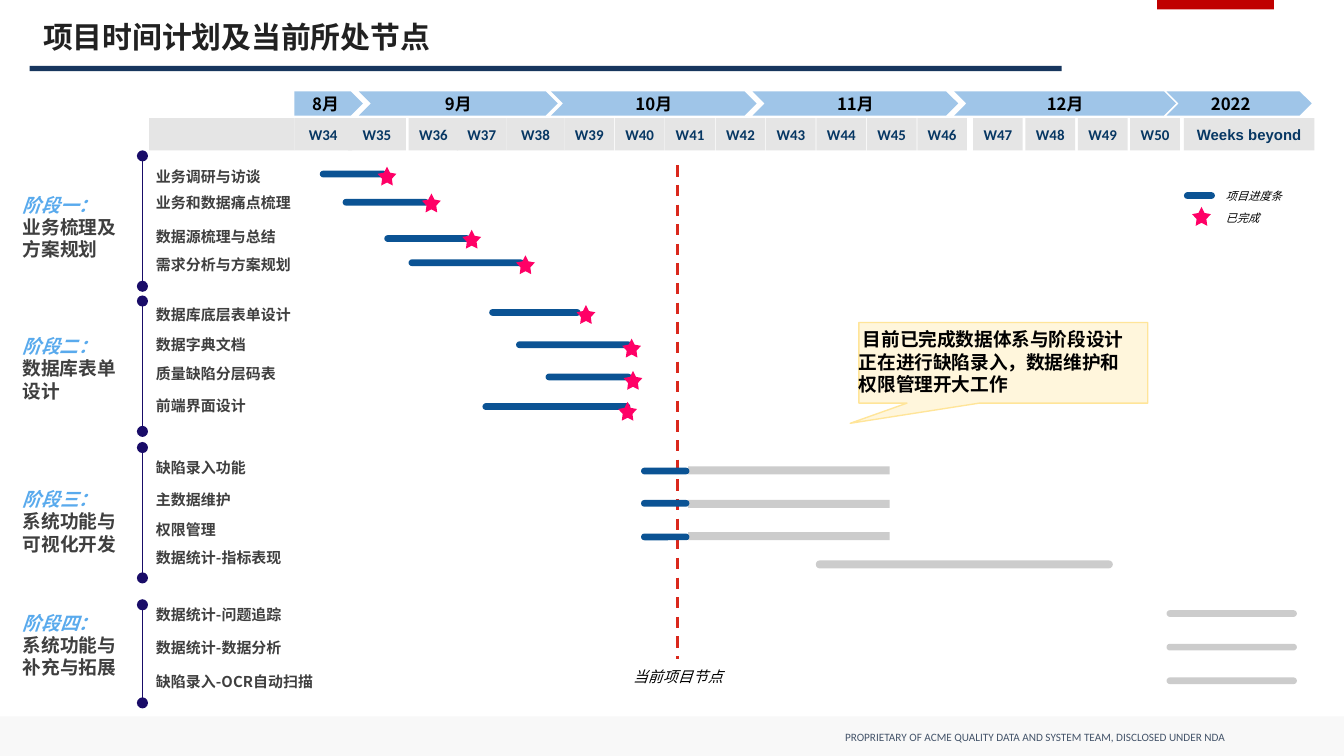
from lxml.etree import SubElement
from pptx import Presentation
from pptx.dml.color import RGBColor
from pptx.enum.dml import MSO_LINE
from pptx.enum.shapes import MSO_CONNECTOR, MSO_SHAPE as SHAPE
from pptx.enum.text import MSO_ANCHOR as ANCHOR, PP_ALIGN as ALIGN
from pptx.oxml.ns import qn
from pptx.util import Inches, Pt

C = {
    "red": "C00000", "band": "F2F2F2", "footer": "44546A", "rule": "17365E",
    "month": "9FC5E8", "week": "E5E5E5", "week_text": "073763", "black": "000000",
    "title": "212121", "stage": "59AAED", "text": "3F3F3F", "axis": "190C68",
    "done": "0B5394", "todo": "CCCCCC", "star": "FF0066", "now": "DA281C",
    "note": "FFF2CC", "note_line": "FFE599",
}
CJK = "Noto Sans CJK SC"

prs = Presentation()
prs.slide_width = Inches(10)
prs.slide_height = Inches(10) * 9 // 16
s = prs.slides.add_slide(prs.slide_layouts[5])


def add(kind, x, y, w, h, fill=None, alpha=None, adj=()):
    box = [Inches(v) for v in (x, y, w, h)]
    if kind is None:
        return s.shapes.add_textbox(*box)
    sp = s.shapes.add_shape(kind, *box)
    sp.shadow.inherit = False
    sp.fill.solid()
    sp.fill.fore_color.rgb = RGBColor.from_string(C[fill])
    sp.line.fill.background()
    if alpha:
        clr = sp._element.spPr.find(".//" + qn("a:srgbClr"))
        SubElement(clr, qn("a:alpha")).set("val", str(alpha * 1000))
    for i, v in enumerate(adj):
        sp.adjustments[i] = v
    return sp


def write(sp, text, size, color, font=CJK, bold=True, italic=False,
          align=ALIGN.LEFT, anchor=ANCHOR.MIDDLE, ins=(0.07, 0.04, 0, 0.04)):
    tf = sp.text_frame
    tf.text = text
    tf.word_wrap = True
    tf.vertical_anchor = anchor
    tf.margin_left, tf.margin_top, tf.margin_right, tf.margin_bottom = map(Inches, ins)
    for p in tf.paragraphs:
        p.alignment = align
        for r in p.runs:
            r.font.size, r.font.bold, r.font.italic = Pt(size), bold, italic
            r.font.name = font
            r.font.color.rgb = RGBColor.from_string(C[color])
            SubElement(r._r.get_or_add_rPr(), qn("a:ea")).set("typeface", CJK)
    return tf


add(SHAPE.RECTANGLE, 8.61, 0, 0.87, 0.07, "red")
add(SHAPE.RECTANGLE, 0, 5.33, 10, 0.3, "band", alpha=49)
add(SHAPE.RECTANGLE, 0.22, 0.49, 7.68, 0.04, "rule")
write(add(None, 5.4, 5.39, 4.6, 0.18),
      "PROPRIETARY OF ACME QUALITY DATA AND SYSTEM TEAM, DISCLOSED UNDER NDA",
      6, "footer", "Calibri", bold=False, align=ALIGN.CENTER, ins=(0.07, 0.04, 0.07, 0.04))

title = s.shapes.title
title.left, title.top, title.width, title.height = map(Inches, (0.22, 0.07, 7.27, 0.37))
tf = write(title, "项目时间计划及当前所处节点", 16, "title",
           align=ALIGN.JUSTIFY, ins=(0.1, 0.05, 0.1, 0.05))
tf.paragraphs[0].line_spacing = 1.15

months = [("8月", 2.19, 0.51), ("9月", 2.67, 1.48), ("10月", 4.1, 1.53),
          ("11月", 5.6, 1.53), ("12月", 7.1, 1.65), ("2022", 8.68, 1.08)]
for i, (name, x, w) in enumerate(months):
    sp = add(SHAPE.CHEVRON if i else SHAPE.PENTAGON, x, 0.68, w, 0.18, "month", adj=[0.5])
    last = name == "2022"
    write(sp, name, 9, "black", align=ALIGN.LEFT if last else ALIGN.CENTER,
          ins=(0.24 if last else 0.1, 0.1, 0.1, 0.1))

weeks = [("W34", 2.19, 0.43), ("W35", 2.59, 0.43), ("W36", 3.04, 0.37),
         ("W37", 3.4, 0.37), ("W38", 3.77, 0.43)]
weeks += [(f"W{39 + i}", 4.2 + i * 3 / 8, 0.37) for i in range(8)]
weeks += [(f"W{47 + i}", 7.24 + i * 0.39, 0.37) for i in range(4)]
weeks += [("Weeks beyond", 8.81, 0.97)]
add(SHAPE.RECTANGLE, 1.11, 0.88, 1.08, 0.24, "week")
for name, x, w in weeks:
    write(add(SHAPE.RECTANGLE, x, 0.88, w, 0.24, "week"), name, 8, "week_text",
          "Arial" if name == "Weeks beyond" else "Calibri",
          align=ALIGN.CENTER, ins=(0.07, 0.04, 0.07, 0.04))

stages = [("阶段一：\n业务梳理及\n方案规划", 1.14, 1.29, 1.1, 1.16, 2.13),
          ("阶段二：\n数据库表单\n设计", 2.19, 1.44, 1.1, 2.24, 3.21),
          ("阶段三：\n系统功能与\n可视化开发", 3.48, 1.29, 0.8, 3.33, 4.3),
          ("阶段四：\n系统功能与\n补充与拓展", 4.4, 1.29, 0.8, 4.5, 5.23)]
lines = [(5.04, 1.23, 4.9, "now", 1.5)]
for text, y, w, h, y1, y2 in stages:
    tf = write(add(None, 0.1, y, w, h), text, 10, "text")
    r = tf.paragraphs[0].runs[0]
    r.font.italic = True
    r.font.color.rgb = RGBColor.from_string(C["stage"])
    lines.append((1.06, y1, y2, "axis", 0.75))

for x, y1, y2, color, width in lines:
    cx = s.shapes.add_connector(MSO_CONNECTOR.STRAIGHT, *map(Inches, (x, y1, x, y2)))
    cx.line.color.rgb = RGBColor.from_string(C[color])
    cx.line.width = Pt(width)
    if color == "now":
        cx.line.dash_style = MSO_LINE.DASH
    else:
        ln = cx._element.spPr.find(qn("a:ln"))
        for end in ("a:headEnd", "a:tailEnd"):
            SubElement(ln, qn(end)).set("type", "oval")
    SubElement(cx._element.spPr, qn("a:effectLst"))

tasks = [("业务调研与访谈", 1.15), ("业务和数据痛点梳理", 1.35), ("数据源梳理与总结", 1.6),
         ("需求分析与方案规划", 1.81), ("数据库底层表单设计", 2.18), ("数据字典文档", 2.4),
         ("质量缺陷分层码表", 2.62), ("前端界面设计", 2.86), ("缺陷录入功能", 3.32),
         ("主数据维护", 3.56), ("权限管理", 3.78), ("数据统计-指标表现", 3.99),
         ("数据统计-问题追踪", 4.41), ("数据统计-数据分析", 4.66), ("缺陷录入-OCR自动扫描", 4.91)]
for i, (name, y) in enumerate(tasks):
    write(add(None, 1.09, y, 1.29 if i else 1.1, 0.32), name, 8, "text")

for y, done_y in [(3.47, 3.48), (3.72, 3.72), (3.96, 3.97)]:
    add(SHAPE.ROUNDED_RECTANGLE, 5.12, y, 1.5, 0.06, "todo", adj=[0])
    add(SHAPE.ROUNDED_RECTANGLE, 4.77, done_y, 0.36, 0.05, "done", adj=[0.5])
for x, y, w, h in [(6.07, 4.17, 2.21, 0.06), (8.68, 4.54, 0.97, 0.05),
                   (8.68, 4.79, 0.97, 0.05), (8.68, 5.04, 0.97, 0.05)]:
    add(SHAPE.ROUNDED_RECTANGLE, x, y, w, h, "todo", adj=[0.5])

finished = [(2.38, 1.27, 0.5, 2.81, 1.24), (2.55, 1.48, 0.64, 3.14, 1.44),
            (2.86, 1.75, 0.64, 3.44, 1.71), (3.04, 1.93, 0.86, 3.84, 1.9),
            (3.64, 2.3, 0.68, 4.29, 2.27), (3.84, 2.54, 0.86, 4.63, 2.52),
            (4.06, 2.78, 0.64, 4.64, 2.76), (3.59, 3, 1.1, 4.6, 2.99),
            (8.81, 1.43, 0.23, 8.87, 1.54)]
for x, y, w, star_x, star_y in finished:
    add(SHAPE.ROUNDED_RECTANGLE, x, y, w, 0.05, "done", adj=[0.5])
    add(SHAPE.STAR_5_POINT, star_x, star_y, 0.14, 0.14, "star", adj=[0.26, 1.05, 1.11])

for text, x, y, w, size in [("项目进度条", 9.05, 1.35, 0.68, 6), ("已完成", 9.05, 1.51, 0.68, 6),
                            ("当前项目节点", 4.64, 4.92, 0.86, 8)]:
    write(add(None, x, y, w, 0.22), text, size, "black", "Calibri", bold=False, italic=True)

note = add(SHAPE.RECTANGULAR_CALLOUT, 6.39, 2.4, 2.15, 0.6, "note", alpha=67, adj=[-0.53, 0.75])
note.line.color.rgb = RGBColor.from_string(C["note_line"])
note.line.width = Pt(0.75)
tf = write(note, "目前已完成数据体系与阶段设计正在进行缺陷录入，数据维护和权限管理开大工作",
           10, "black", anchor=ANCHOR.TOP, ins=(0, 0.04, 0.1, 0.1))
p = tf.paragraphs[0]
p.space_before = Pt(3)
p._p.get_or_add_pPr().set("indent", str(Inches(0.03)))

prs.save("out.pptx")
